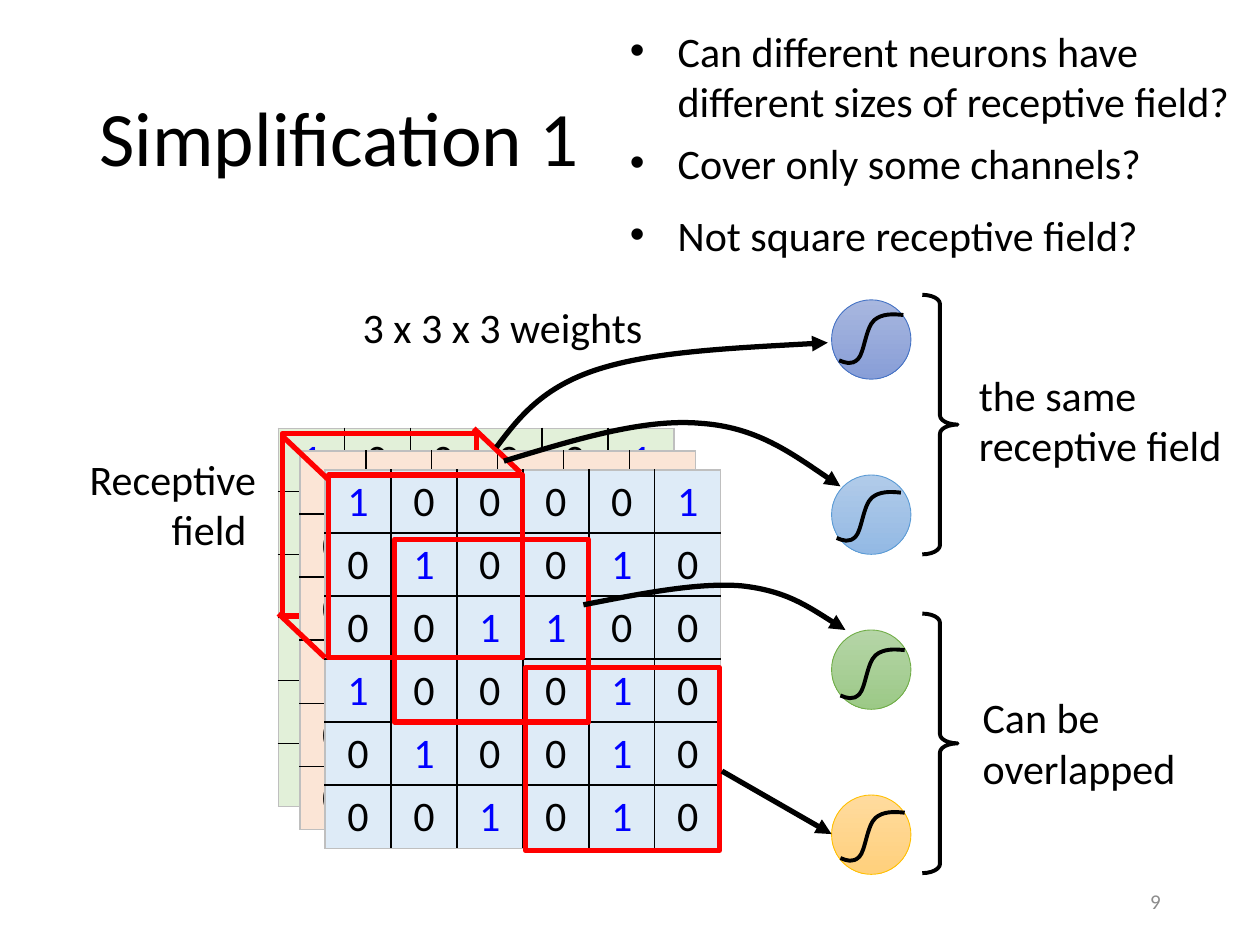
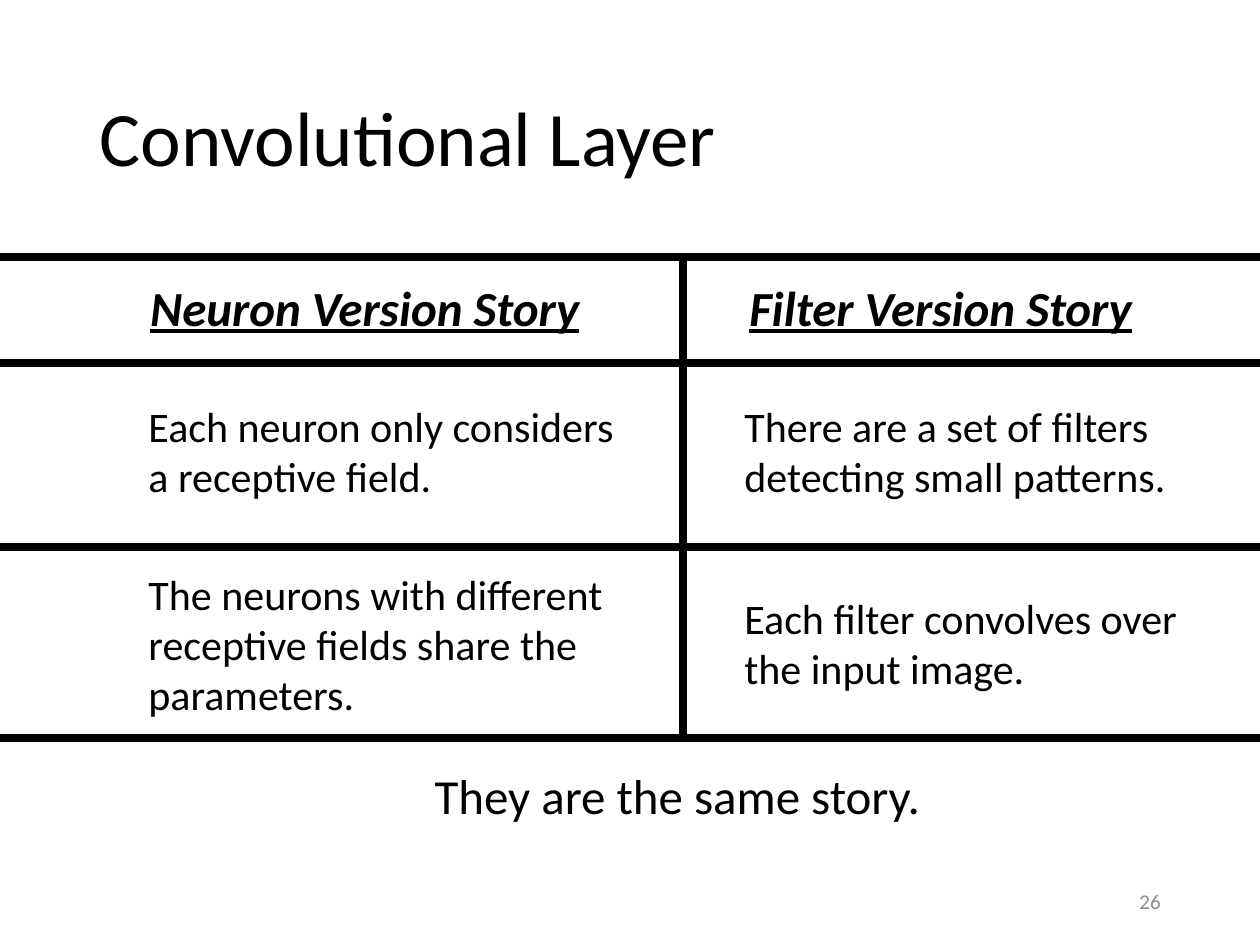
from pptx import Presentation
from pptx.dml.color import RGBColor
from pptx.enum.shapes import MSO_CONNECTOR, MSO_SHAPE
from pptx.enum.text import MSO_ANCHOR, PP_ALIGN
from pptx.oxml.ns import qn
from pptx.oxml.xmlchemy import OxmlElement
from pptx.util import Inches, Pt

SLIDE_W, SLIDE_H = 10, 7.5
FONT = "Calibri"
BLACK = RGBColor(0x00, 0x00, 0x00)
RED = RGBColor(0xFF, 0x00, 0x00)
BLUE = RGBColor(0x00, 0x00, 0xFF)
GREY = RGBColor(0x8C, 0x8C, 0x8C)
EDGE = RGBColor(0xBF, 0xBF, 0xBF)
CHANNEL_FILLS = [RGBColor(0xE2, 0xF0, 0xD9), RGBColor(0xFB, 0xE5, 0xD6),
                 RGBColor(0xDE, 0xEB, 0xF7)]
# Top colour, bottom colour and outline of each neuron
INDIGO = (RGBColor(0xA8, 0xB7, 0xDF), RGBColor(0x88, 0x9E, 0xD7), RGBColor(0x44, 0x72, 0xC4))
SKY = (RGBColor(0xB1, 0xCB, 0xE9), RGBColor(0x93, 0xB9, 0xE4), RGBColor(0x5B, 0x9B, 0xD5))
GREEN = (RGBColor(0xB5, 0xD5, 0xA7), RGBColor(0x9C, 0xC9, 0x87), RGBColor(0x70, 0xAD, 0x47))
GOLD = (RGBColor(0xFF, 0xDB, 0x9E), RGBColor(0xFF, 0xD0, 0x7C), RGBColor(0xFF, 0xC0, 0x00))

PIXELS = ["100001", "010010", "001100", "100010", "010010", "001010"]
CHANNEL_SIZE = (3.14, 3)
CHANNEL_CORNERS = [(2.21, 3.4), (2.38, 3.58), (2.58, 3.73)]
FIELD_W, FIELD_H = 1.54, 1.45
FIELD_STEP_X, FIELD_STEP_Y = 0.52, 0.51
DEPTH_X, DEPTH_Y = 0.37, 0.35
NEURON_D = 0.63
SIGMOID = [(0.51, 0), (0.42, -0.01), (0.34, -0.01), (0.28, 0.04), (0.21, 0.1),
           (0.2, 0.3), (0.15, 0.35), (0.1, 0.4), (0.05, 0.38), (0, 0.36)]


def inches(*values):
    return [Inches(v) for v in values]


def style_text(p, size, color=BLACK, bold=False, align=PP_ALIGN.LEFT):
    p.alignment = align
    for r in p.runs:
        r.font.name, r.font.size = FONT, Pt(size)
        r.font.color.rgb = color
        r.font.bold = bold


def add_text(slide, box, text, size=24, color=BLACK, align=PP_ALIGN.LEFT):
    tf = slide.shapes.add_textbox(*inches(*box)).text_frame
    tf.word_wrap = True
    tf.text = text
    style_text(tf.paragraphs[0], size, color, align=align)
    return tf.paragraphs[0]


def add_bullet(slide, box, text):
    pPr = add_text(slide, box, text)._p.get_or_add_pPr()
    pPr.set("marL", str(Inches(0.38)))
    pPr.set("indent", str(-Inches(0.38)))
    bullet_font = OxmlElement("a:buFont")
    bullet_font.set("typeface", "Arial")
    bullet = OxmlElement("a:buChar")
    bullet.set("char", "•")
    pPr.extend([bullet_font, bullet])


def style_line(sp, color, width, arrow=False):
    sp.line.color.rgb = color
    sp.line.width = Pt(width)
    if arrow:
        tail = OxmlElement("a:tailEnd")
        tail.set("type", "triangle")
        sp.line._get_or_add_ln().append(tail)


def add_line(slide, start, end, color, width, arrow=False):
    cxn = slide.shapes.add_connector(MSO_CONNECTOR.STRAIGHT, *inches(*start, *end))
    style_line(cxn, color, width, arrow)
    cxn._element.spPr.append(OxmlElement("a:effectLst"))


def add_outline(slide, kind, box, color, width):
    sp = slide.shapes.add_shape(kind, *inches(*box))
    sp.shadow.inherit = False
    sp.fill.background()
    style_line(sp, color, width)
    return sp


def add_curve(slide, points, width, arrow=False):
    """Draw a Bézier curve: a start point, then three points for each segment."""
    start, *rest = [inches(*pt) for pt in points]
    builder = slide.shapes.build_freeform(*start, scale=1.0)
    builder.add_line_segments(rest, close=False)
    sp = builder.convert_to_shape()
    sp.shadow.inherit = False
    sp.fill.background()
    style_line(sp, BLACK, width, arrow)
    steps = list(sp._element.iter(qn("a:lnTo")))
    for i in range(0, len(steps), 3):
        cubic = OxmlElement("a:cubicBezTo")
        steps[i].addprevious(cubic)
        for step in steps[i:i + 3]:
            cubic.append(step[0])
            step.getparent().remove(step)


def add_titled_slide(prs, title, number):
    slide = prs.slides.add_slide(prs.slide_layouts[5])
    sp = slide.shapes.title
    sp.left, sp.top, sp.width, sp.height = inches(0.69, 0.4, 8.62, 1.45)
    tf = sp.text_frame
    tf.text = title
    tf.vertical_anchor = MSO_ANCHOR.MIDDLE
    tf.paragraphs[0].line_spacing = 0.9
    style_text(tf.paragraphs[0], 44)
    p = add_text(slide, (7.06, 6.95, 2.25, 0.4), str(number), 12, GREY, PP_ALIGN.RIGHT)
    p._parent.vertical_anchor = MSO_ANCHOR.MIDDLE
    return slide


def set_borders(cell, sides):
    """Draw each side, given as a border tag and its colour."""
    tcPr = cell._tc.get_or_add_tcPr()
    for i, (tag, color) in enumerate(sides):
        ln = OxmlElement(f"a:{tag}")
        ln.set("w", str(Pt(1)))
        fill = OxmlElement("a:solidFill")
        rgb = OxmlElement("a:srgbClr")
        rgb.set("val", str(color))
        fill.append(rgb)
        ln.append(fill)
        tcPr.insert(i, ln)


def add_channel(slide, box, fill):
    n = len(PIXELS)
    table = slide.shapes.add_table(n, n, *inches(*box)).table
    table.first_row = table.horz_banding = False
    for r, row in enumerate(PIXELS):
        for c, pixel in enumerate(row):
            cell = table.cell(r, c)
            cell.text = pixel
            style_text(cell.text_frame.paragraphs[0], 24,
                       BLUE if pixel == "1" else BLACK, align=PP_ALIGN.CENTER)
            cell.fill.solid()
            cell.fill.fore_color.rgb = fill
            outer = {"lnL": c == 0, "lnR": c == n - 1, "lnT": r == 0, "lnB": r == n - 1}
            set_borders(cell, [(tag, EDGE if out else BLACK) for tag, out in outer.items()])


def add_field(slide, corner, col=0, row=0):
    """Frame three by three cells of the channel at the given corner."""
    x, y = corner
    add_outline(slide, MSO_SHAPE.RECTANGLE,
                (x + 0.03 + col * FIELD_STEP_X, y + 0.04 + row * FIELD_STEP_Y,
                 FIELD_W, FIELD_H), RED, 3)


def add_image_stack(slide):
    back, middle, front = CHANNEL_CORNERS
    add_channel(slide, back + CHANNEL_SIZE, CHANNEL_FILLS[0])
    add_field(slide, back)
    for corner, fill in zip((middle, front), CHANNEL_FILLS[1:]):
        add_channel(slide, corner + CHANNEL_SIZE, fill)
    for cell in (0, 1, 3):
        add_field(slide, front, cell, cell)
    x, y = back
    for dx, dy in [(0, 1.47), (1.55, 0), (0.03, 0.06)]:
        add_line(slide, (x + dx, y + dy), (x + dx + DEPTH_X, y + dy + DEPTH_Y), RED, 3)


def add_neuron(slide, x, y, colors, curve_dx, curve_dy):
    top, bottom, edge = colors
    sp = add_outline(slide, MSO_SHAPE.OVAL, (x, y, NEURON_D, NEURON_D), edge, 0.5)
    sp.fill.gradient()
    sp.fill.gradient_angle = 270
    for stop, color in zip(sp.fill.gradient_stops, (top, bottom)):
        stop.color.rgb = color
    add_curve(slide, [(x + curve_dx + px, y + curve_dy + py) for px, py in SIGMOID], 2.25)


def add_neuron_group(slide, box, neurons, caption, caption_box):
    """Stack neurons at offsets below the top of the box, with a brace and caption."""
    x, y, w, h = box
    for dy, colors, curve_dx, curve_dy in neurons:
        add_neuron(slide, x, y + dy, colors, curve_dx, curve_dy)
    brace = add_outline(slide, MSO_SHAPE.RIGHT_BRACE, (x + w - 0.28, y, 0.28, h), BLACK, 2.25)
    brace.adjustments[0] = 0.26
    add_text(slide, caption_box, caption)


def build_simplification(prs):
    slide = add_titled_slide(prs, "Simplification 1", 9)
    for y, text in [
            (0.15, "Can different neurons have different sizes of receptive field?"),
            (1.04, "Cover only some channels?"),
            (1.61, "Not square receptive field?")]:
        add_bullet(slide, (4.9, y, 5.05, 0.5), text)
    add_image_stack(slide)
    add_neuron_group(slide, (6.6, 2.34, 1, 2.06),
                     [(0.04, INDIGO, 0.06, 0.12), (1.43, SKY, 0.04, 0.14)],
                     "the same receptive field", (7.67, 2.88, 2.33, 0.91))
    add_neuron_group(slide, (6.6, 4.87, 1, 2.06),
                     [(0.13, GREEN, 0.07, 0.16), (1.44, GOLD, 0.07, 0.14)],
                     "Can be overlapped", (7.7, 5.44, 1.98, 0.91))
    for points in [
            [(3.94, 3.55), (4.12, 3.31), (4.31, 3.07), (4.75, 2.93),
             (5.19, 2.79), (5.88, 2.76), (6.57, 2.72)],
            [(4, 3.66), (4.56, 3.49), (5.11, 3.32), (5.56, 3.36),
             (6, 3.39), (6.33, 3.63), (6.67, 3.86)],
            [(4.63, 4.8), (5.09, 4.71), (5.55, 4.62), (5.89, 4.65),
             (6.24, 4.69), (6.47, 4.85), (6.71, 5)]]:
        add_curve(slide, points, 3, arrow=True)
    add_line(slide, (5.73, 6.12), (6.6, 6.62), BLACK, 3, arrow=True)
    add_text(slide, (2.78, 2.34, 2.43, 0.5), "3 x 3 x 3 weights")
    add_text(slide, (0.59, 3.55, 1.54, 0.91), "Receptive field ", align=PP_ALIGN.RIGHT)


def add_story(slide, x, w, heading, heading_box, points):
    """Fill one column with a heading and points, each given with its top."""
    p = add_text(slide, heading_box, heading, 28, align=PP_ALIGN.CENTER)
    font = p.runs[0].font
    font.bold = font.italic = font.underline = True
    for y, text in points:
        add_text(slide, (x, y, w, 0.91), text)


def build_comparison(prs):
    slide = add_titled_slide(prs, "Convolutional Layer", 26)
    add_story(slide, 1.08, 3.92, "Neuron Version Story", (1.08, 2.15, 3.63, 0.57),
              [(3.13, "Each neuron only considers a receptive field."),
               (4.46, "The neurons with different receptive fields share the parameters.")])
    add_story(slide, 5.81, 3.64, "Filter Version Story", (5.61, 2.15, 3.71, 0.57),
              [(3.13, "There are a set of filters detecting small patterns."),
               (4.65, "Each filter convolves over the input image.")])
    add_text(slide, (1.3, 6.03, 8.15, 0.57), "They are the same story.", 28,
             align=PP_ALIGN.CENTER)
    rules = [2.04, 2.88, 4.34, 5.86]
    for y in rules:
        add_line(slide, (0, y), (SLIDE_W, y), BLACK, 4.5)
    add_line(slide, (5.42, rules[0]), (5.42, rules[-1]), BLACK, 4.5)


def main():
    prs = Presentation()
    prs.slide_width, prs.slide_height = inches(SLIDE_W, SLIDE_H)
    build_simplification(prs)
    build_comparison(prs)
    prs.save("out.pptx")


if __name__ == "__main__":
    main()
